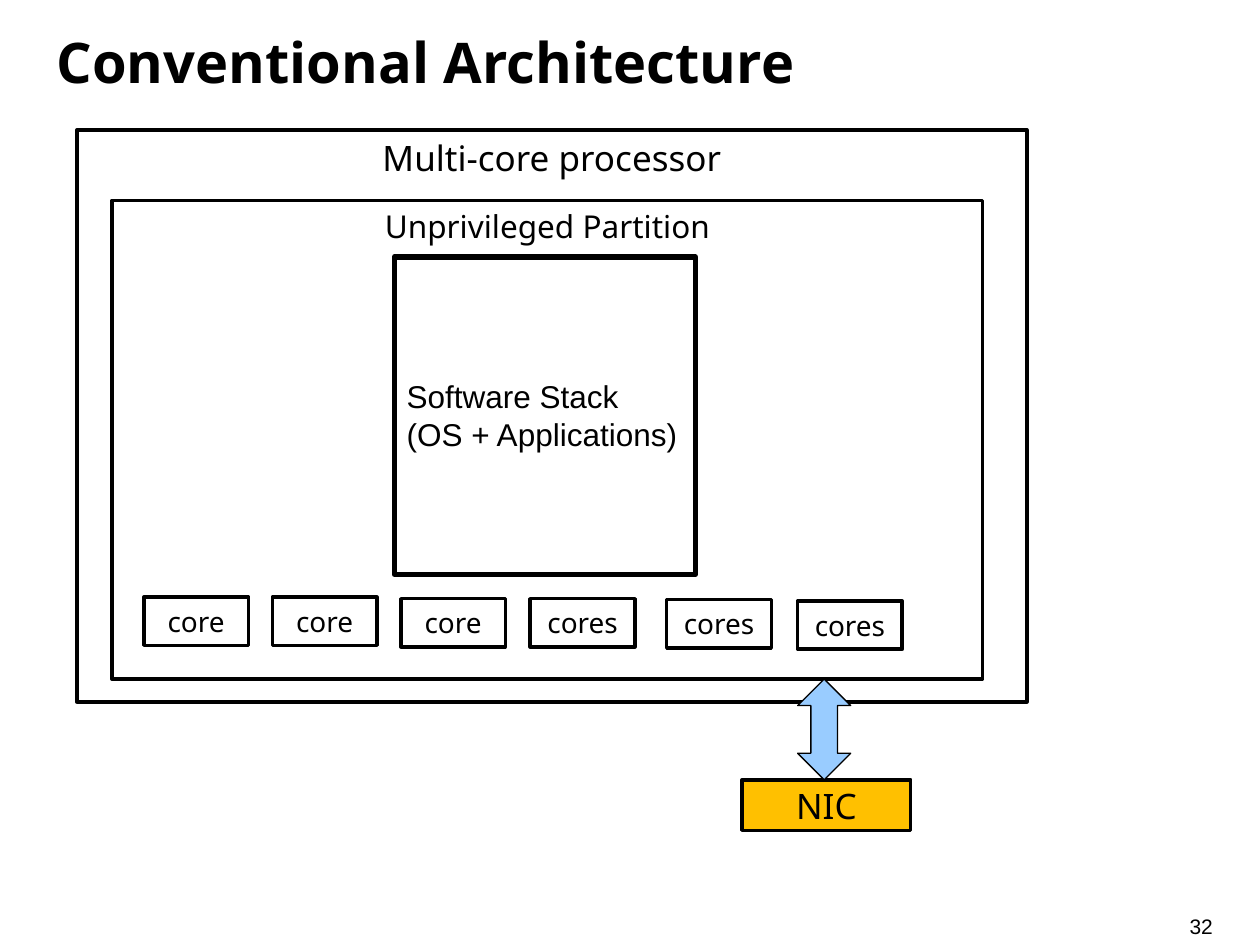
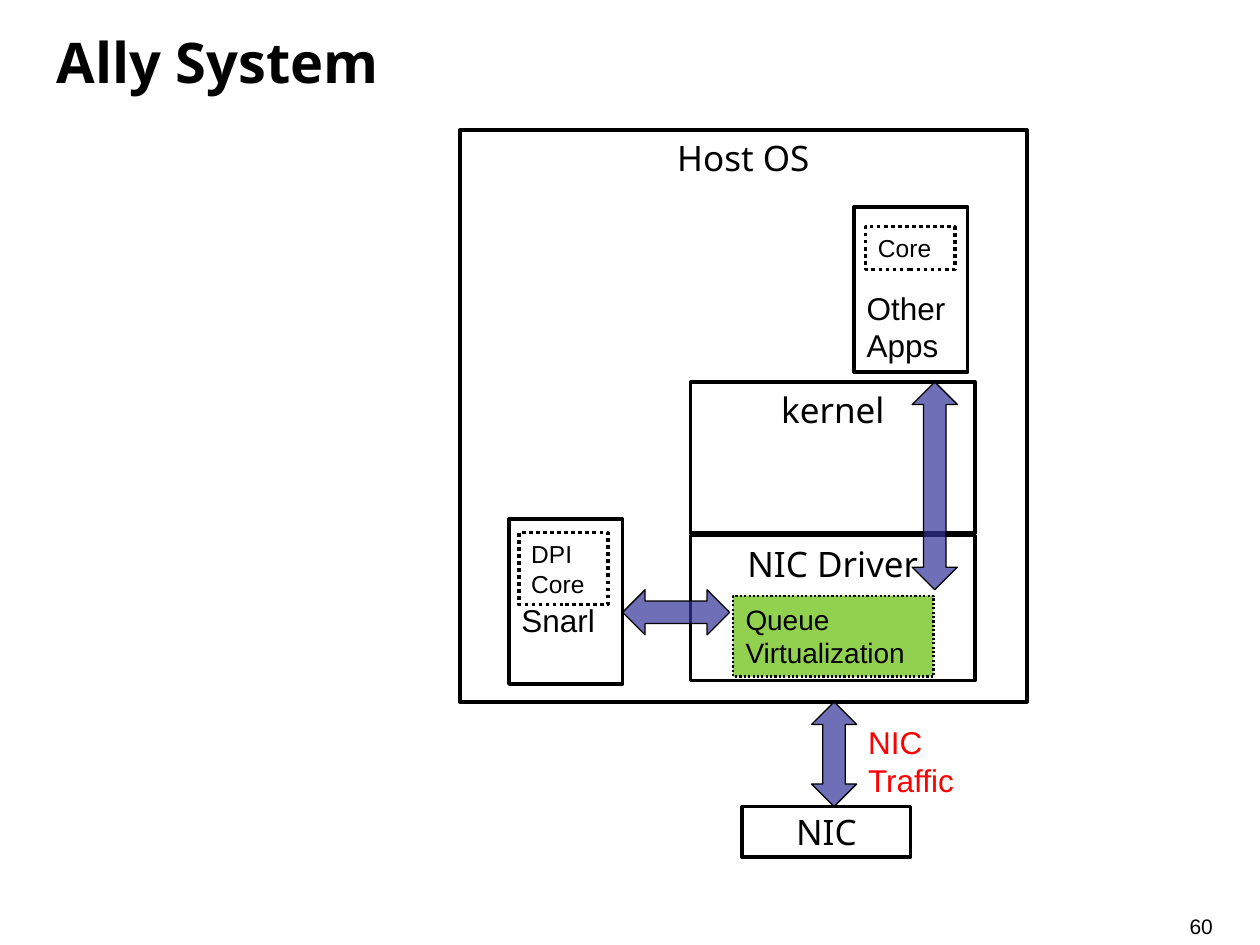
from lxml import etree
from pptx import Presentation
from pptx.dml.color import RGBColor
from pptx.enum.dml import MSO_LINE
from pptx.enum.shapes import MSO_SHAPE
from pptx.enum.text import MSO_ANCHOR, PP_ALIGN
from pptx.oxml.ns import qn
from pptx.util import Cm, Pt

RECT = MSO_SHAPE.RECTANGLE
TALL = MSO_SHAPE.UP_DOWN_ARROW
WIDE = MSO_SHAPE.LEFT_RIGHT_ARROW
DOTS = MSO_LINE.ROUND_DOT
TOP, MID = MSO_ANCHOR.TOP, MSO_ANCHOR.MIDDLE
LEFT, MIDST = PP_ALIGN.LEFT, PP_ALIGN.CENTER

BLACK = RGBColor(0, 0, 0)
RED = RGBColor(255, 0, 0)
GOLD = RGBColor(0xFF, 0xC0, 0x00)
GREEN = RGBColor(0x92, 0xD0, 0x50)
SKY = RGBColor(0x99, 0xCC, 0xFF)
NAVY = RGBColor(0x33, 0x33, 0x99)
SANS, ARIAL = "Noto Sans", "Arial"
PAD = (0.25, 0.13, 0.25, 0.13)
SLIM = (0.13, 0.13, 0.13, 0.13)
BARE = (0, 0, 0, 0)
DROP = (0.25, 1.65, 0.25, 0.13)


def write(shape, lines, font, size, color=BLACK, align=LEFT, anchor=TOP,
          pad=PAD, bold=False):
    frame = shape.text_frame
    frame.word_wrap = True
    frame.vertical_anchor = anchor
    (frame.margin_left, frame.margin_top,
     frame.margin_right, frame.margin_bottom) = map(Cm, pad)
    for i, line in enumerate(lines):
        para = frame.add_paragraph() if i else frame.paragraphs[0]
        para.alignment = align
        run = para.add_run()
        run.text = line
        run.font.name = font
        run.font.size = Pt(size)
        run.font.bold = bold
        run.font.color.rgb = color


def draw(slide, kind, place, fill=None, width=2, dash=None, alpha=None):
    shape = slide.shapes.add_shape(kind, *map(Cm, place))
    shape.shadow.inherit = False
    shape.line.color.rgb = BLACK
    shape.line.width = Pt(width)
    if dash:
        shape.line.dash_style = dash
    if fill is None:
        shape.fill.background()
    else:
        shape.fill.solid()
        shape.fill.fore_color.rgb = fill
    if alpha:
        tint = shape.fill._xPr.find(qn("a:solidFill"))[0]
        etree.SubElement(tint, qn("a:alpha"), val=str(alpha * 1000))
    return shape


deck = Presentation()
deck.slide_width, deck.slide_height = Cm(25.4), Cm(19.05)
pages = []
for name, number in (("Conventional Architecture", "32"), ("Ally System", "60")):
    slide = deck.slides.add_slide(deck.slide_layouts[5])
    title = slide.shapes.title
    title.left, title.top, title.width, title.height = map(
        Cm, (0.89, 0.18, 23.65, 2.11))
    write(title, [name], SANS, 32, anchor=MID, bold=True)
    foot = slide.shapes.add_textbox(Cm(23.98), Cm(18.42), Cm(1.3), Cm(0.51))
    write(foot, [number], ARIAL, 12, pad=BARE)
    pages.append(slide)
plain, ally = pages

labels = [
    (plain, (14.96, 15.72, 3.4, 1.02), "NIC", 20, MID, GOLD),
    (plain, (2.26, 4.04, 17.55, 9.65), "Unprivileged Partition", 18, TOP, None),
    (plain, (1.55, 2.62, 19.15, 11.53), "Multi-core processor", 20, TOP, None),
    (ally, (14.96, 16.26, 3.4, 1.02), "NIC", 20, MID, None),
    (ally, (9.27, 2.62, 11.43, 11.53), "Host OS", 20, TOP, None),
    (ally, (13.92, 7.7, 5.74, 3.05), "kernel", 20, TOP, None),
]
cores = [(2.9, 12.04), (5.49, 12.04), (8.08, 12.07),
         (10.69, 12.07), (13.44, 12.09), (16.08, 12.12)]
for i, (x, y) in enumerate(cores):
    word = "core" if i < 3 else "cores"
    labels.append((plain, (x, y, 2.11, 0.97), word, 16, MID, None))
for slide, place, word, size, anchor, fill in labels:
    box = draw(slide, RECT, place, fill)
    write(box, [word], SANS, size, align=MIDST, anchor=anchor, pad=SLIM)

stack = draw(plain, RECT, (7.95, 5.18, 6.07, 6.4), width=3)
write(stack, ["Software Stack", "(OS + Applications)"], ARIAL, 18,
      pad=(0.25, 2.43, 0.25, 0.13))
draw(plain, TALL, (16.08, 13.69, 1.07, 2.03), SKY, 0.75)

note = ally.shapes.add_textbox(Cm(17.25), Cm(14.45), Cm(2.82), Cm(1.8))
write(note, ["NIC Traffic"], ARIAL, 18, RED)
queue = draw(ally, RECT, (14.78, 12.01, 4.04, 1.63), GREEN, 1.25, DOTS)
write(queue, ["Queue Virtualization"], ARIAL, 16)
driver = draw(ally, RECT, (13.92, 10.8, 5.74, 2.92))
write(driver, ["NIC Driver"], SANS, 20, align=MIDST, pad=SLIM)

for x, y, word in ((17.22, 4.17, "Other Apps"), (10.26, 10.46, "Snarl")):
    app = draw(ally, RECT, (x, y, 2.29, 3.33))
    write(app, [word], ARIAL, 18, pad=DROP)
for place, lines in (((10.46, 10.74, 1.8, 1.45), ["DPI", "Core"]),
                     ((17.45, 4.57, 1.8, 0.86), ["Core"])):
    core = draw(ally, RECT, place, dash=DOTS)
    write(core, lines, ARIAL, 14)
for kind, place in ((TALL, (16.36, 14.15, 0.91, 2.11)),
                    (WIDE, (12.55, 11.89, 2.16, 0.91)),
                    (TALL, (18.39, 7.7, 0.91, 4.19))):
    draw(ally, kind, place, NAVY, 0.75, alpha=70)

deck.save("out.pptx")
